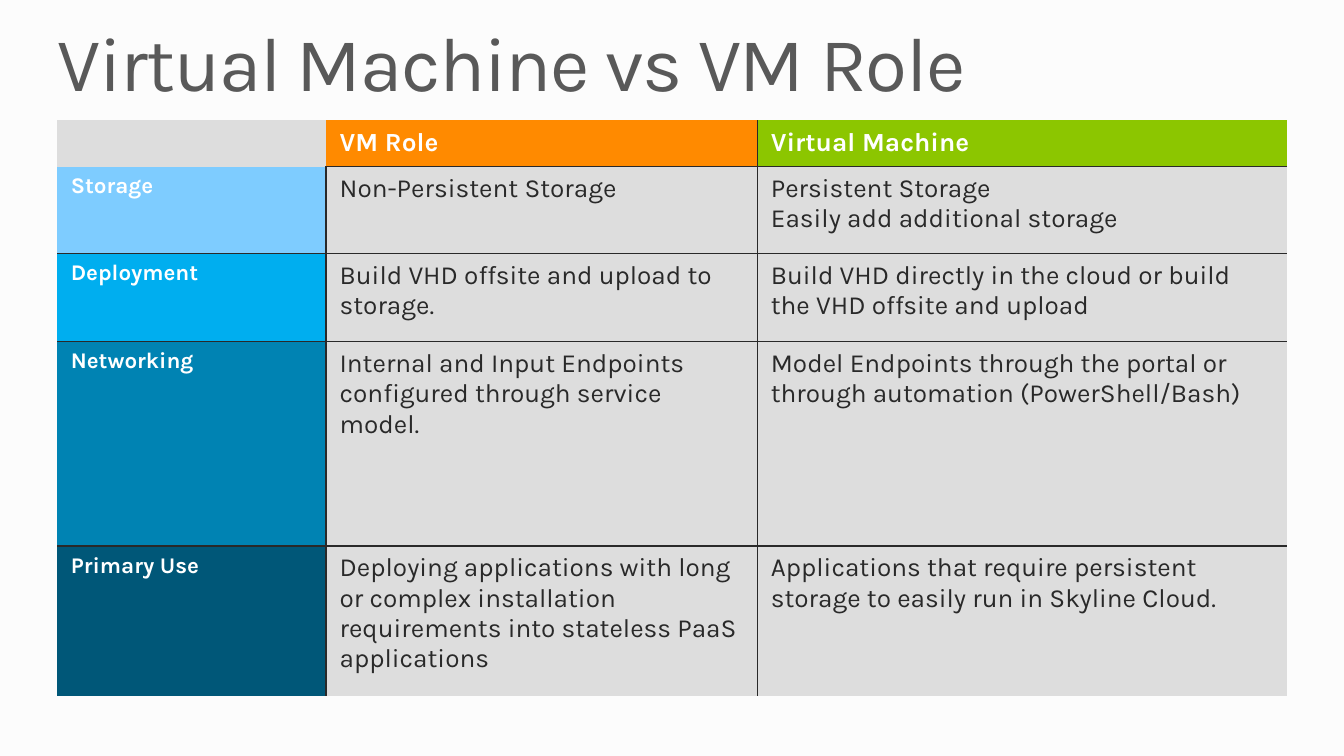
from lxml import etree
from pptx import Presentation
from pptx.dml.color import RGBColor
from pptx.enum.text import MSO_ANCHOR, MSO_AUTO_SIZE, PP_ALIGN
from pptx.oxml.ns import qn
from pptx.util import Pt

PX = 9525
FONT = "Karla"
LEFT = PP_ALIGN.LEFT
TOP = MSO_ANCHOR.TOP
MIDDLE = MSO_ANCHOR.MIDDLE
GROW = MSO_AUTO_SIZE.SHAPE_TO_FIT_TEXT

PAPER = RGBColor(0xFC, 0xFC, 0xFC)
TITLE_GRAY = RGBColor(0x59, 0x59, 0x59)
INK = RGBColor(0x29, 0x29, 0x29)
WHITE = RGBColor(0xFF, 0xFF, 0xFF)
CELL_GRAY = RGBColor(0xDD, 0xDD, 0xDD)
ORANGE = RGBColor(0xFF, 0x8A, 0x00)
GREEN = RGBColor(0x8C, 0xC6, 0x00)
SKY = RGBColor(0x7E, 0xCC, 0xFF)
AZURE = RGBColor(0x00, 0xAE, 0xEF)
BLUE = RGBColor(0x00, 0x83, 0xB3)
NAVY = RGBColor(0x00, 0x57, 0x78)

COLUMN_WIDTHS = [192, 308, 378]
ROW_HEIGHTS = [33, 62, 63, 146, 107]
COLUMN_FILLS = [CELL_GRAY, ORANGE, GREEN]
ROW_FILLS = [CELL_GRAY, SKY, AZURE, BLUE, NAVY]
COMPARISON = [
    ["", "VM Role", "Virtual Machine"],
    ["Storage", "Non-Persistent Storage",
     "Persistent Storage\nEasily add additional storage"],
    ["Deployment", "Build VHD offsite and upload to storage.",
     "Build VHD directly in the cloud or build the VHD offsite and upload"],
    ["Networking",
     "Internal and Input Endpoints configured through service model.",
     "Model Endpoints through the portal or through automation (PowerShell/Bash)"],
    ["Primary Use",
     "Deploying applications with long or complex installation requirements "
     "into stateless PaaS applications",
     "Applications that require persistent storage to easily run in Skyline Cloud."],
]


def add_span(para, text, size, color, bold=False):
    """Add one formatted run to a paragraph."""
    span = para.add_run()
    span.text = text
    span.font.name = FONT
    span.font.size = Pt(size)
    span.font.bold = bold
    span.font.color.rgb = color
    return span


def set_borders(cell, row, column):
    """Rule the inner edges of the grid, leaving the corner cell open."""
    neighbours = {
        "a:lnL": (row, column - 1),
        "a:lnR": (row, column + 1),
        "a:lnT": (row - 1, column),
        "a:lnB": (row + 1, column),
    }
    properties = cell._tc.get_or_add_tcPr()
    for tag, (next_row, next_column) in neighbours.items():
        inside = (0 <= next_row < len(ROW_HEIGHTS)
                  and 0 <= next_column < len(COLUMN_WIDTHS))
        corner = (0, 0) in ((row, column), (next_row, next_column))
        line = etree.SubElement(properties, qn(tag), w=str(Pt(1)))
        if inside and not corner:
            fill = etree.SubElement(line, qn("a:solidFill"))
            etree.SubElement(fill, qn("a:srgbClr"), val=str(INK))
        else:
            etree.SubElement(line, qn("a:noFill"))


def fill_cell(cell, row, column, text):
    """Give a cell its borders, fill and text."""
    set_borders(cell, row, column)
    heading = row == 0 or column == 0
    cell.fill.solid()
    if row == 0:
        cell.fill.fore_color.rgb = COLUMN_FILLS[column]
    else:
        cell.fill.fore_color.rgb = ROW_FILLS[row] if column == 0 else CELL_GRAY
    cell.vertical_anchor = TOP
    size = 12 if column == 0 else 14
    frame = cell.text_frame
    for index, content in enumerate(text.split("\n")):
        para = frame.add_paragraph() if index else frame.paragraphs[0]
        if content:
            add_span(para, content, size, WHITE if heading else INK, heading)
        else:
            etree.SubElement(para._p, qn("a:endParaRPr"), sz=str(size * 100))


def add_title(page, left, top, width, height):
    """Place the slide title in its placeholder."""
    title = page.shapes.title
    title.left, title.top = left * PX, top * PX
    title.width, title.height = width * PX, height * PX
    frame = title.text_frame
    frame.margin_left = frame.margin_right = 0
    frame.margin_top = frame.margin_bottom = 0
    frame.word_wrap = True
    frame.auto_size = GROW
    frame.vertical_anchor = MIDDLE
    para = frame.paragraphs[0]
    para.alignment = LEFT
    para.line_spacing = 0.9
    span = add_span(para, "Virtual Machine vs VM Role", 41, TITLE_GRAY)
    span.font._element.set("spc", "-75")


def add_comparison(page, left, top):
    """Place the comparison table."""
    table = page.shapes.add_table(
        len(ROW_HEIGHTS), len(COLUMN_WIDTHS), left * PX, top * PX,
        sum(COLUMN_WIDTHS) * PX, sum(ROW_HEIGHTS) * PX).table
    table.horz_banding = False
    for column, width in zip(table.columns, COLUMN_WIDTHS):
        column.width = width * PX
    for row, height in zip(table.rows, ROW_HEIGHTS):
        row.height = height * PX
    for row, texts in enumerate(COMPARISON):
        for column, text in enumerate(texts):
            fill_cell(table.cell(row, column), row, column, text)


def main():
    """Build the slide and save the deck."""
    deck = Presentation()
    deck.slide_width, deck.slide_height = 960 * PX, 540 * PX
    page = deck.slides.add_slide(deck.slide_layouts[5])
    page.background.fill.solid()
    page.background.fill.fore_color.rgb = PAPER
    add_title(page, 41, 18, 879, 60)
    add_comparison(page, 41, 86)
    deck.save("out.pptx")


if __name__ == "__main__":
    main()
